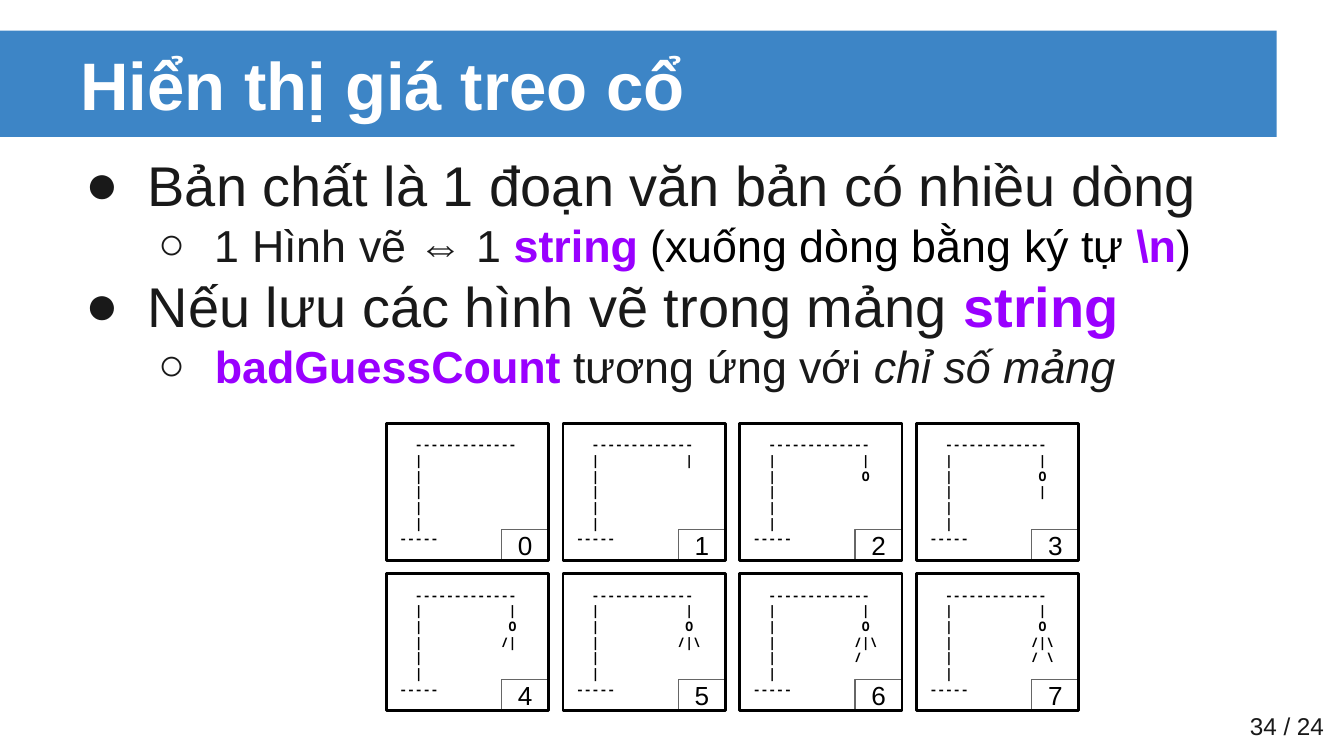
"""Build the slide that shows the eight stages of a hangman drawing."""
from dataclasses import dataclass
from typing import Any

from lxml import etree
from pptx import Presentation
from pptx import util as u
from pptx.dml.color import RGBColor
from pptx.enum import shapes, text
from pptx.oxml import ns

BLUE = RGBColor(0x3D, 0x85, 0xC6)
WHITE = RGBColor(0xFF, 0xFF, 0xFF)
BLACK = RGBColor(0, 0, 0)
INK = RGBColor(0x19, 0x19, 0x19)
GRAY = RGBColor(0x66, 0x66, 0x66)
VIOLET = RGBColor(0x99, 0x00, 0xFF)

PAD = u.Cm(0.25)
FRAME = {
    "word_wrap": True,
    "auto_size": text.MSO_AUTO_SIZE.NONE,
    "vertical_anchor": text.MSO_ANCHOR.MIDDLE,
    "margin_left": PAD,
    "margin_right": PAD,
    "margin_top": PAD,
    "margin_bottom": PAD,
}
HEAD = {"name": "Arial", "size": u.Pt(36), "bold": True}
MONO = {"name": "Noto Sans Mono", "size": u.Pt(7), "bold": True}
DIGIT = {"name": "Arial", "size": u.Pt(14)}
PAGE = {"name": "Arial", "size": u.Pt(13)}


@dataclass
class Box:
    left: float
    top: float
    width: float
    height: float

    def dims(self) -> list[u.Length]:
        return [u.Cm(v) for v in (self.left, self.top, self.width, self.height)]


@dataclass
class Span:
    words: str
    color: RGBColor = INK
    bold: bool = False
    italic: bool = False


@dataclass
class Item:
    level: int
    spans: list[Span]


@dataclass
class Level:
    size: int
    mark: str
    left: float
    hang: float


@dataclass
class Step:
    row: int
    art: str


LEVELS = [Level(30, "●", 1.27, 1.17), Level(24, "○", 2.54, 1.07)]
ITEMS = [
    Item(0, [Span("Bản chất là 1 đoạn văn bản có nhiều dòng")]),
    Item(1, [
        Span("1 Hình vẽ ⇔ 1 "),
        Span("string ", VIOLET, True),
        Span("(xuống dòng bằng ký tự ", BLACK),
        Span("\\n", VIOLET, True),
        Span(")", BLACK),
    ]),
    Item(0, [
        Span("Nếu lưu các hình vẽ trong mảng "),
        Span("string", VIOLET, True),
    ]),
    Item(1, [
        Span("badGuessCount", VIOLET, True),
        Span(" tương ứng với "),
        Span("chỉ số mảng", italic=True),
    ]),
]
STEPS = [
    Step(0, " |"), Step(1, " O"), Step(2, " |"), Step(2, "/|"),
    Step(2, "/|\\"), Step(3, "/"), Step(3, "/ \\"),
]
COLS = 4
GRID = Box(7.3, 8, 3.07, 2.59)
STEP_X, STEP_Y = 3.34, 2.84
TAG_W, TAG_H = 0.89, 0.58


def apply(obj: Any, fmt: dict[str, Any]) -> None:
    for key, val in fmt.items():
        setattr(obj, key, val)


def write(par: Any, words: str, color: RGBColor, fmt: dict[str, Any]) -> None:
    run = par.add_run()
    run.text = words
    apply(run.font, fmt)
    run.font.color.rgb = color


def fill(shape: Any, lines: list[str], color: RGBColor, fmt: dict[str, Any],
         align: text.PP_ALIGN = text.PP_ALIGN.LEFT) -> None:
    frame = shape.text_frame
    apply(frame, FRAME)
    for num, line in enumerate(lines):
        par = frame.add_paragraph() if num else frame.paragraphs[0]
        par.alignment = align
        write(par, line, color, fmt)


def place(shape: Any, box: Box) -> None:
    apply(shape, dict(zip(("left", "top", "width", "height"), box.dims())))


def outline(slide: Any, box: Box, color: RGBColor, width: float) -> Any:
    rect = slide.shapes.add_shape(shapes.MSO_SHAPE.RECTANGLE, *box.dims())
    rect.shadow.inherit = False
    rect.fill.background()
    rect.line.color.rgb = color
    rect.line.width = u.Pt(width)
    return rect


def bullet(par: Any, level: Level) -> None:
    props = par._p.get_or_add_pPr()
    props.set("marL", str(u.Cm(level.left)))
    props.set("indent", str(-u.Cm(level.hang)))
    tint = etree.SubElement(props, ns.qn("a:buClr"))
    etree.SubElement(tint, ns.qn("a:srgbClr")).set("val", str(INK))
    etree.SubElement(props, ns.qn("a:buFont")).set("typeface", "Arial")
    etree.SubElement(props, ns.qn("a:buChar")).set("char", level.mark)


def outline_list(body: Any) -> None:
    frame = body.text_frame
    apply(frame, FRAME | {"vertical_anchor": text.MSO_ANCHOR.TOP})
    for num, item in enumerate(ITEMS):
        par = frame.add_paragraph() if num else frame.paragraphs[0]
        level = LEVELS[item.level]
        par.level = item.level
        par.space_before = u.Pt(0 if num else 6)
        bullet(par, level)
        for span in item.spans:
            write(par, span.words, span.color, {
                "name": "Arial", "size": u.Pt(level.size),
                "bold": span.bold, "italic": span.italic,
            })


def gallows(stage: int) -> list[str]:
    rows = [""] * 5
    for step in STEPS[:stage]:
        rows[step.row] = " " * 10 + step.art
    return ["  " + "-" * 13, *("  |" + row for row in rows), "-" * 5]


def panel(slide: Any, stage: int) -> None:
    row, col = divmod(stage, COLS)
    box = Box(GRID.left + col * STEP_X, GRID.top + row * STEP_Y,
              GRID.width, GRID.height)
    tag = Box(box.left + box.width - TAG_W, box.top + box.height - TAG_H,
              TAG_W, TAG_H)
    fill(outline(slide, tag, GRAY, 0.75), [str(stage)], BLACK, DIGIT,
         text.PP_ALIGN.CENTER)
    fill(outline(slide, box, BLACK, 1.5), gallows(stage), BLACK, MONO)


def main() -> None:
    deck = Presentation()
    deck.slide_width, deck.slide_height = u.Cm(25.4), u.Cm(14.29)
    slide = deck.slides.add_slide(deck.slide_layouts[1])
    title, body = slide.placeholders

    bar = outline(slide, Box(0, 0.58, 24.13, 2.01), BLUE, 0)
    bar.fill.solid()
    bar.fill.fore_color.rgb = BLUE
    bar.line.fill.background()
    title._element.addprevious(bar._element)

    place(title, Box(1.27, 0.58, 22.86, 2.01))
    fill(title, ["Hiển thị giá treo cổ"], WHITE, HEAD)
    place(body, Box(1.27, 2.59, 22.86, 11.1))
    outline_list(body)

    for stage in range(len(STEPS) + 1):
        panel(slide, stage)

    page = slide.shapes.add_textbox(*Box(22.25, 13.18, 3.02, 1.09).dims())
    fill(page, ["34 / 24"], INK, PAGE, text.PP_ALIGN.RIGHT)
    deck.save("out.pptx")


if __name__ == "__main__":
    main()
